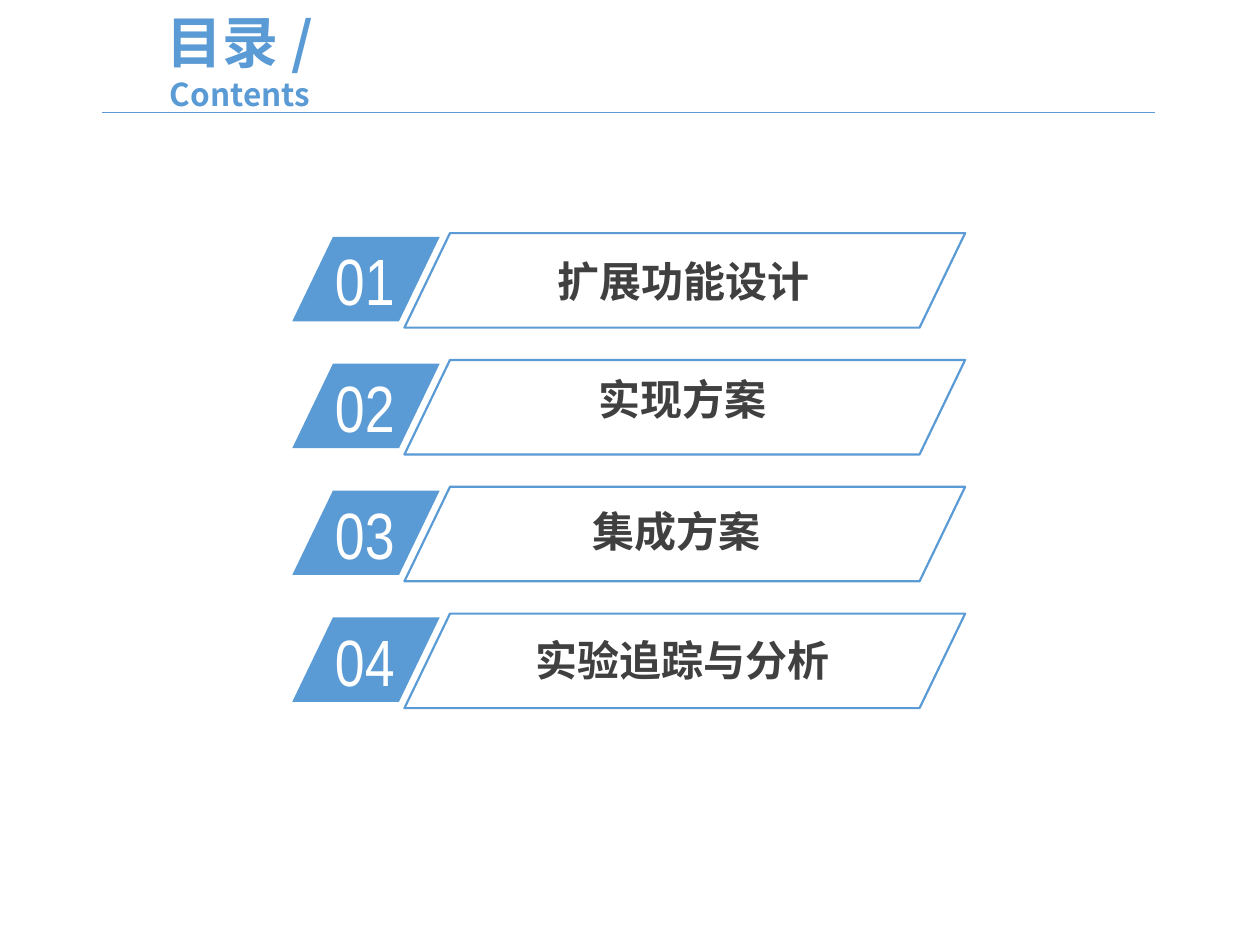
"""Build a contents slide with four numbered, slanted entries."""
from lxml import etree
from pptx import Presentation
from pptx import util as u
from pptx.dml.color import RGBColor
from pptx.enum import shapes, text
from pptx.oxml.ns import qn

COLORS = {"blue": "5B9BD5", "white": "FFFFFF", "dark": "404040"}
HEADING_FONT = "Noto Sans CJK SC"
NUMBER_FONT = "Arial Narrow"
SLANT = 0.482
ENTRIES = [
    ("扩展功能设计", 2.21, 0.13),
    ("实现方案", 1.56, 0.06),
    ("集成方案", 1.66, 0.10),
    ("实验追踪与分析", 2.57, 0.12),
]


def color(name):
    """Return the named colour."""
    return RGBColor.from_string(COLORS[name])


def add_text(paragraph, content, font=HEADING_FONT, size=24, fill="dark", bold=True):
    """Append a formatted run to a paragraph."""
    run = paragraph.add_run()
    run.text = content
    run.font.name = font
    run.font.size = u.Pt(size)
    run.font.bold = bold
    run.font.color.rgb = color(fill)
    properties = run.font._element
    etree.SubElement(properties, qn("a:ea")).set("typeface", font)


def add_label(parent, left, top, width, height, content, **formatting):
    """Place a text box holding one run."""
    box = parent.shapes.add_textbox(*map(u.Inches, (left, top, width, height)))
    box.text_frame.word_wrap = True
    box.text_frame.auto_size = text.MSO_AUTO_SIZE.SHAPE_TO_FIT_TEXT
    add_text(box.text_frame.paragraphs[0], content, **formatting)


def add_parallelogram(parent, left, top, width, height, filled):
    """Place a slanted shape, either solid or outlined."""
    shape = parent.shapes.add_shape(
        shapes.MSO_SHAPE.PARALLELOGRAM, *map(u.Inches, (left, top, width, height)))
    shape.shadow.inherit = False
    shape.adjustments[0] = SLANT
    if filled:
        shape.fill.solid()
        shape.fill.fore_color.rgb = color("blue")
        shape.line.fill.background()
    else:
        shape.fill.background()
        shape.line.color.rgb = color("blue")
        shape.line.width = u.Pt(1.25)


def add_header(slide, left, top, width, height):
    """Format the title and draw the rule beneath it."""
    title = slide.shapes.title
    title.left, title.top, title.width, title.height = map(
        u.Inches, (left, top, width, height))
    frame = title.text_frame
    frame.auto_size = text.MSO_AUTO_SIZE.NONE
    frame.vertical_anchor = text.MSO_ANCHOR.MIDDLE
    paragraph = frame.paragraphs[0]
    paragraph.alignment = text.PP_ALIGN.CENTER
    add_text(paragraph, "目录 /", size=32, fill="blue")
    paragraph.add_line_break()
    add_text(paragraph, "Contents", size=18, fill="blue")

    rule_top = u.Inches(top + 0.68)
    rule = slide.shapes.add_connector(
        shapes.MSO_CONNECTOR.STRAIGHT,
        u.Inches(left + 0.14), rule_top, u.Inches(left + 8.5), rule_top)
    rule.line.color.rgb = color("blue")
    rule.line.width = u.Pt(0.5)
    etree.SubElement(rule._element.spPr, qn("a:effectLst"))


def add_entry(parent, left, top, width, height, number, entry):
    """Place one numbered entry in its box."""
    label, label_width, label_offset = entry
    frame_left = left + 0.89
    frame_width = width - 0.89
    label_left = frame_left + (frame_width - label_width) / 2
    add_parallelogram(parent, left, top + 0.03, 1.17, 0.67, filled=True)
    add_label(parent, left + 0.24, top + 0.01, 1.12, 0.73, f"{number:02}",
              font=NUMBER_FONT, size=37.4, fill="white", bold=False)
    add_label(parent, label_left, top + label_offset, label_width, 0.5, label)
    add_parallelogram(parent, frame_left, top, frame_width, height, filled=False)


def add_contents(slide, left, top, width, height):
    """Spread the entries evenly down the given box."""
    group = slide.shapes.add_group_shape()
    row_height = 0.75
    pitch = (height - row_height) / (len(ENTRIES) - 1)
    for index, entry in enumerate(ENTRIES):
        add_entry(group, left, top + index * pitch, width, row_height, index + 1, entry)


def main():
    """Create and save the presentation."""
    presentation = Presentation()
    presentation.slide_width = u.Inches(10)
    presentation.slide_height = u.Inches(7.5)
    slide = presentation.slides.add_slide(presentation.slide_layouts[5])
    add_header(slide, 0.67, 0.21, 2.47, 0.54)
    add_contents(slide, 2.32, 1.85, 5.34, 3.77)
    presentation.save("out.pptx")


if __name__ == "__main__":
    main()
